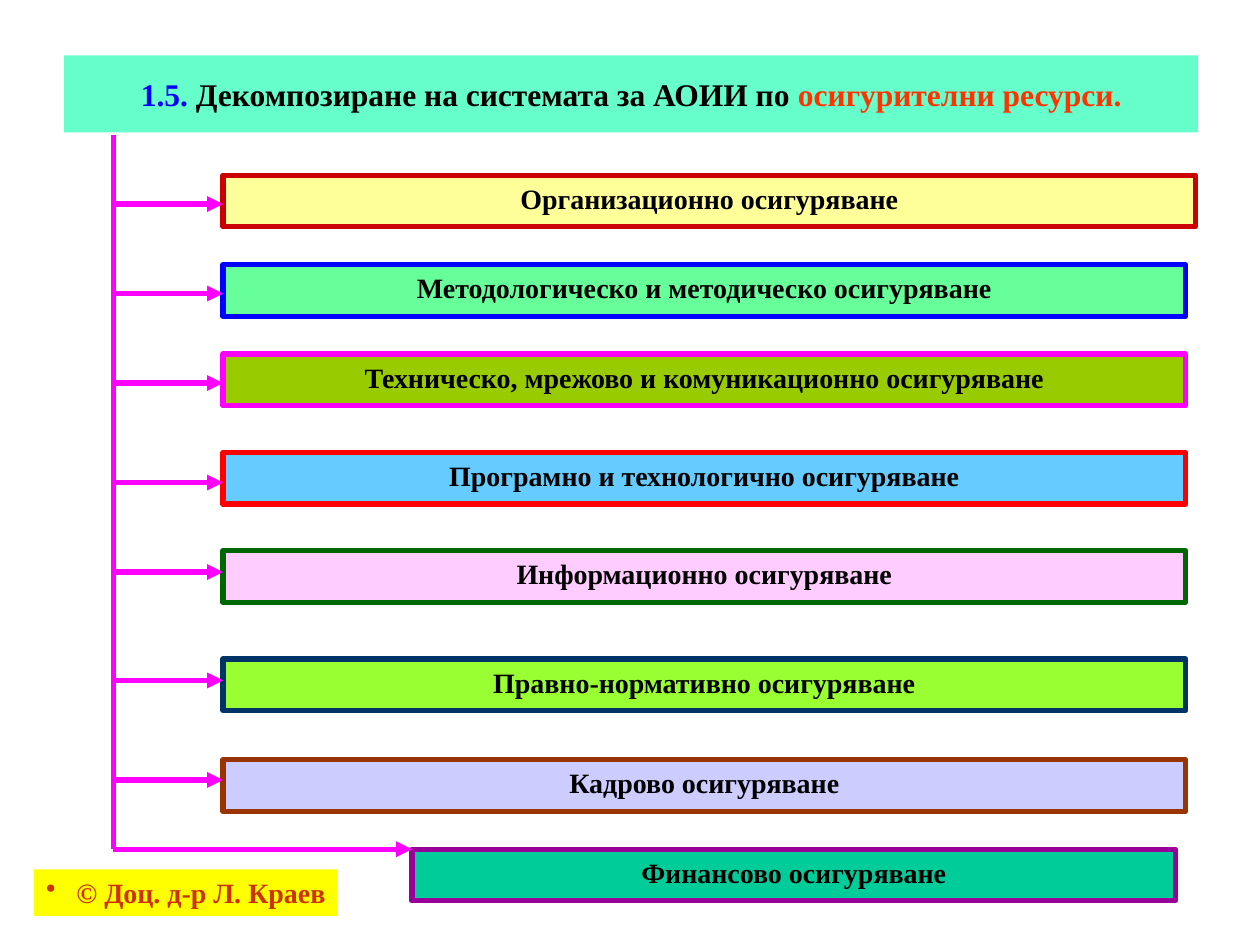
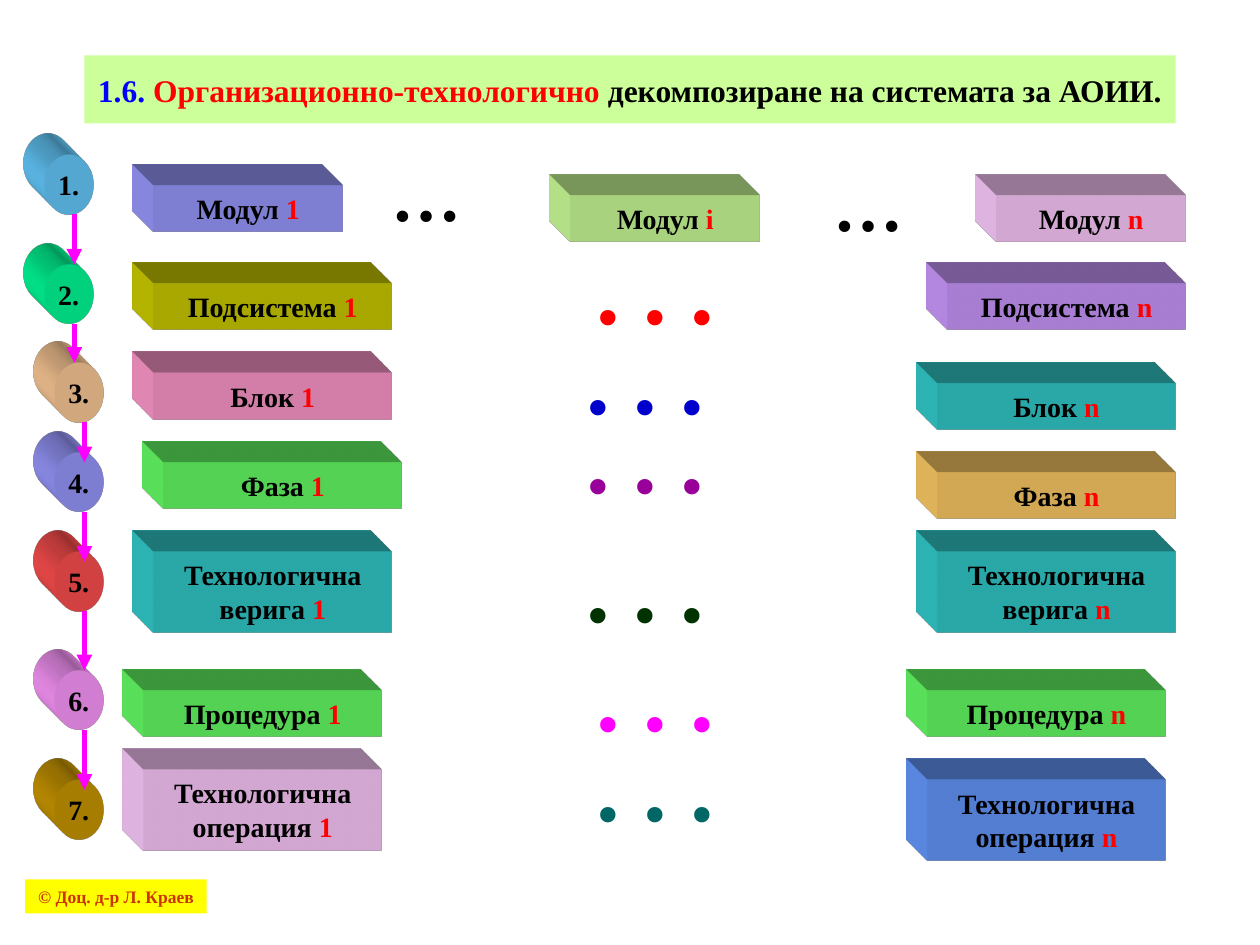
from lxml import etree
from pptx import Presentation
from pptx.dml.color import RGBColor
from pptx.enum.shapes import MSO_CONNECTOR as CONN, MSO_SHAPE as SHAPE
from pptx.enum.text import MSO_ANCHOR as ANCHOR, PP_ALIGN as ALIGN
from pptx.oxml import parse_xml
from pptx.oxml.ns import nsdecls, qn
from pptx.util import Inches, Pt

FONT = "Times New Roman"
COPYRIGHT = "© Доц. д-р Л. Краев"
LINE_PT = 3
BADGE_W, BADGE_H = 0.39, 0.47
COLORS = {
    "black": "000000", "blue": "0000FF", "red": "FF0000",
    "orange": "FF3300", "brick": "CC3300", "magenta": "FF00FF",
    "yellow": "FFFF00", "aqua": "66FFCC", "lime": "CCFF99",
    "cream": "FFFF99", "crimson": "CC0000", "mint": "66FF99",
    "olive": "99CC00", "sky": "66CCFF", "pink": "FFCCFF",
    "forest": "006600", "grass": "99FF33", "navy": "003366",
    "lavender": "CCCCFF", "brown": "993300", "jade": "00CC99",
    "purple": "990099", "periwinkle": "9999FF", "emerald": "00FF99",
    "mustard": "CCCC00", "violet": "CC99FF", "peach": "FFCC99",
    "rose": "FF99CC", "royal": "0000CC", "teal": "33CCCC",
    "green": "66FF66", "sand": "FFCC66", "coral": "FF5050",
    "dark green": "003300", "orchid": "FF99FF", "gold": "CC9900",
    "dark teal": "006666", "cornflower": "6699FF",
}

RESOURCES = [
    ("Организационно осигуряване", "cream", "crimson", 1.77, 1.39, 7.72, 1.62),
    ("Методологическо и методическо осигуряване", "mint", "blue", 1.77, 2.1, 7.64, 2.33),
    ("Техническо, мрежово и комуникационно осигуряване", "olive", "magenta",
     1.77, 2.81, 7.64, 3.04),
    ("Програмно и технологично осигуряване", "sky", "red", 1.77, 3.59, 7.64, 3.83),
    ("Информационно осигуряване", "pink", "forest", 1.77, 4.37, 7.64, 4.54),
    ("Правно-нормативно осигуряване", "grass", "navy", 1.77, 5.23, 7.64, 5.4),
    ("Кадрово осигуряване", "lavender", "brown", 1.77, 6.03, 7.64, 6.19),
    ("Финансово осигуряване", "jade", "purple", 3.27, 6.74, 6.06, 6.74),
]

BADGES = [
    (0.35, 1.23, "sky"), (0.35, 2.1, "emerald"), (0.43, 2.88, "peach"),
    (0.43, 3.59, "periwinkle"), (0.43, 4.38, "coral"), (0.43, 5.32, "orchid"),
    (0.43, 6.19, "gold"),
]
ARROW_ENDS = [2.1, 2.88, 3.67, 4.46, 5.32, 6.27]

MODULES = [("1", 1.22, 1.47, "periwinkle"), ("i", 4.53, 1.55, "lime"),
           ("n", 7.91, 1.55, "pink")]
MODULE_GAPS = [(2.95, 1.15, 0.87), (6.5, 1.23, 0.79)]

LEVELS = [
    ("Подсистема", 0.37, (1.22, 2.25, "mustard"), (7.52, 2.25, "violet"), (4.45, 1.78, "red")),
    ("Блок", 0.37, (1.22, 2.96, "rose"), (7.44, 3.04, "teal"), (4.37, 2.49, "royal")),
    ("Фаза", 0.37, (1.3, 3.67, "green"), (7.44, 3.75, "sand"), (4.37, 3.12, "purple")),
    ("Технологична верига", 0.64, (1.22, 4.38, "teal"), (7.44, 4.38, "teal"),
     (4.37, 4.14, "dark green")),
    ("Процедура", 0.37, (1.14, 5.48, "green"), (7.36, 5.48, "green"), (4.45, 5.01, "magenta")),
    ("Технологична операция", 0.64, (1.14, 6.11, "pink"), (7.36, 6.19, "cornflower"),
     (4.45, 5.72, "dark teal")),
]


def rgb(name):
    return RGBColor.from_string(COLORS[name])


def set_text(sp, runs, size=16, anchor=ANCHOR.TOP, wrap=True):
    tf = sp.text_frame
    for key, value in {"word_wrap": wrap, "vertical_anchor": anchor}.items():
        setattr(tf, key, value)
    p = tf.paragraphs[0]
    p.alignment = ALIGN.CENTER
    for text, color in runs:
        r = p.add_run()
        r.text = text
        for key, value in {"name": FONT, "size": Pt(size), "bold": True}.items():
            setattr(r.font, key, value)
        r.font.color.rgb = rgb(color)
    return p


def fill_solid(sp, color):
    sp.fill.solid()
    sp.fill.fore_color.rgb = rgb(color)


def add_title(s, box, fill, runs):
    sp = s.shapes.title
    for key, value in zip(("left", "top", "width", "height"), box):
        setattr(sp, key, Inches(value))
    fill_solid(sp, fill)
    set_text(sp, runs, size=18, anchor=ANCHOR.MIDDLE)


def add_box(s, box, fill, runs, border=None, kind=SHAPE.RECTANGLE, **text_format):
    sp = s.shapes.add_shape(kind, *map(Inches, box))
    sp.shadow.inherit = False
    fill_solid(sp, fill)
    if border:
        sp.line.color.rgb = rgb(border)
        sp.line.width = Pt(LINE_PT)
    else:
        sp.line.fill.background()
    set_text(sp, runs, **text_format)
    return sp


def add_solid(s, box, fill, runs, **options):
    sp = add_box(s, box, fill, runs, **options)
    spPr = sp._element.spPr
    spPr.append(parse_xml(
        f'<a:scene3d {nsdecls("a")}><a:camera prst="legacyObliqueTopLeft"/>'
        '<a:lightRig rig="legacyFlat3" dir="b"/></a:scene3d>'))
    spPr.append(parse_xml(
        f'<a:sp3d {nsdecls("a")} extrusionH="430200" prstMaterial="legacyMatte">'
        '<a:bevelT w="13500" h="13500" prst="angle"/>'
        '<a:bevelB w="13500" h="13500" prst="angle"/>'
        f'<a:extrusionClr><a:srgbClr val="{COLORS[fill]}"/></a:extrusionClr></a:sp3d>'))


def add_line(s, x1, y1, x2, y2, arrow=True):
    c = s.shapes.add_connector(CONN.STRAIGHT, *map(Inches, (x1, y1, x2, y2)))
    c.line.color.rgb = rgb("magenta")
    c.line.width = Pt(LINE_PT)
    if arrow:
        etree.SubElement(c.line._get_or_add_ln(), qn("a:tailEnd"), type="triangle")
    etree.SubElement(c._element.spPr, qn("a:effectLst"))


def add_dots(s, box, text, size, color):
    sp = s.shapes.add_textbox(*map(Inches, box))
    set_text(sp, [(text, color)], size=size)


def add_copyright(s, box, size):
    sp = add_box(s, box, "yellow", [(COPYRIGHT, "brick")], size=size, wrap=False)
    return sp.text_frame.paragraphs[0]


def add_bullet(p, indent):
    pPr = p._p.get_or_add_pPr()
    pPr.set("marL", str(Inches(indent)))
    pPr.set("indent", str(-Inches(indent)))
    etree.SubElement(pPr, qn("a:buChar"), char="•")


def build_resources(s):
    add_title(s, (0.51, 0.44, 9, 0.61), "aqua", [
        ("1.5. ", "blue"), ("Декомпозиране на системата за АОИИ по ", "black"),
        ("осигурителни ресурси.", "orange")])
    add_bullet(add_copyright(s, (0.27, 6.9, 2.41, 0.37), 16), 0.24)
    for label, fill, border, left, top, width, _ in RESOURCES:
        add_box(s, (left, top, width, 0.41), fill, [(label, "black")], border=border)
    trunk_x = 0.9
    add_line(s, trunk_x, 1.07, trunk_x, 6.74, arrow=False)
    for *_, left, _, _, arrow_y in RESOURCES:
        add_line(s, trunk_x, arrow_y, left, arrow_y)


def build_levels(s):
    add_title(s, (0.67, 0.44, 8.66, 0.54), "lime", [
        ("1.6. ", "blue"), ("Организационно-технологично", "red"),
        (" декомпозиране на системата за АОИИ.", "black")])
    for number, (left, top, fill) in enumerate(BADGES, 1):
        add_solid(s, (left, top, BADGE_W, BADGE_H), fill, [(f"{number}.", "black")],
                  kind=SHAPE.OVAL, anchor=ANCHOR.MIDDLE, wrap=False)
    for index, left, top, fill in MODULES:
        add_solid(s, (left, top, 1.5, 0.37), fill, [("Модул ", "black"), (index, "red")])
    for left, top, width in MODULE_GAPS:
        add_dots(s, (left, top, width, 0.77), "…", 40, "black")
    for name, height, first, last, (dots_x, dots_y, dots_color) in LEVELS:
        for index, (left, top, fill) in (("1", first), ("n", last)):
            add_solid(s, (left, top, 1.89, height), fill,
                      [(f"{name} ", "black"), (index, "red")])
        add_dots(s, (dots_x, dots_y, 1.5, 1), ". . .", 54, dots_color)
    add_copyright(s, (0.2, 6.98, 1.44, 0.27), 10)
    for (left, top, _), end in zip(BADGES, ARROW_ENDS):
        add_line(s, left + 0.24, top + BADGE_H, left + 0.24, end)


def main():
    prs = Presentation()
    prs.slide_width, prs.slide_height = Inches(10), Inches(7.5)
    for build in (build_resources, build_levels):
        build(prs.slides.add_slide(prs.slide_layouts[5]))
    prs.save("out.pptx")


if __name__ == "__main__":
    main()
